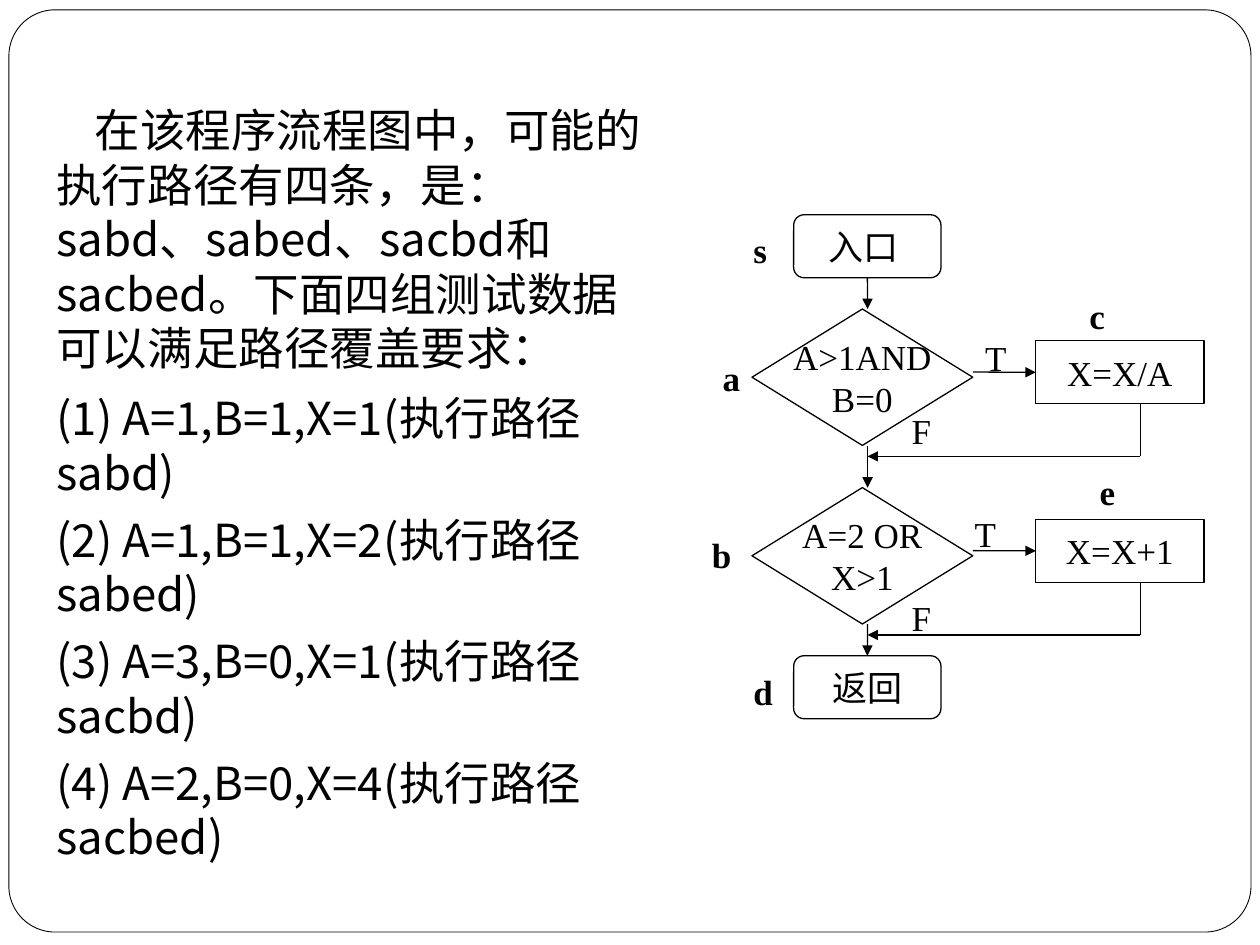
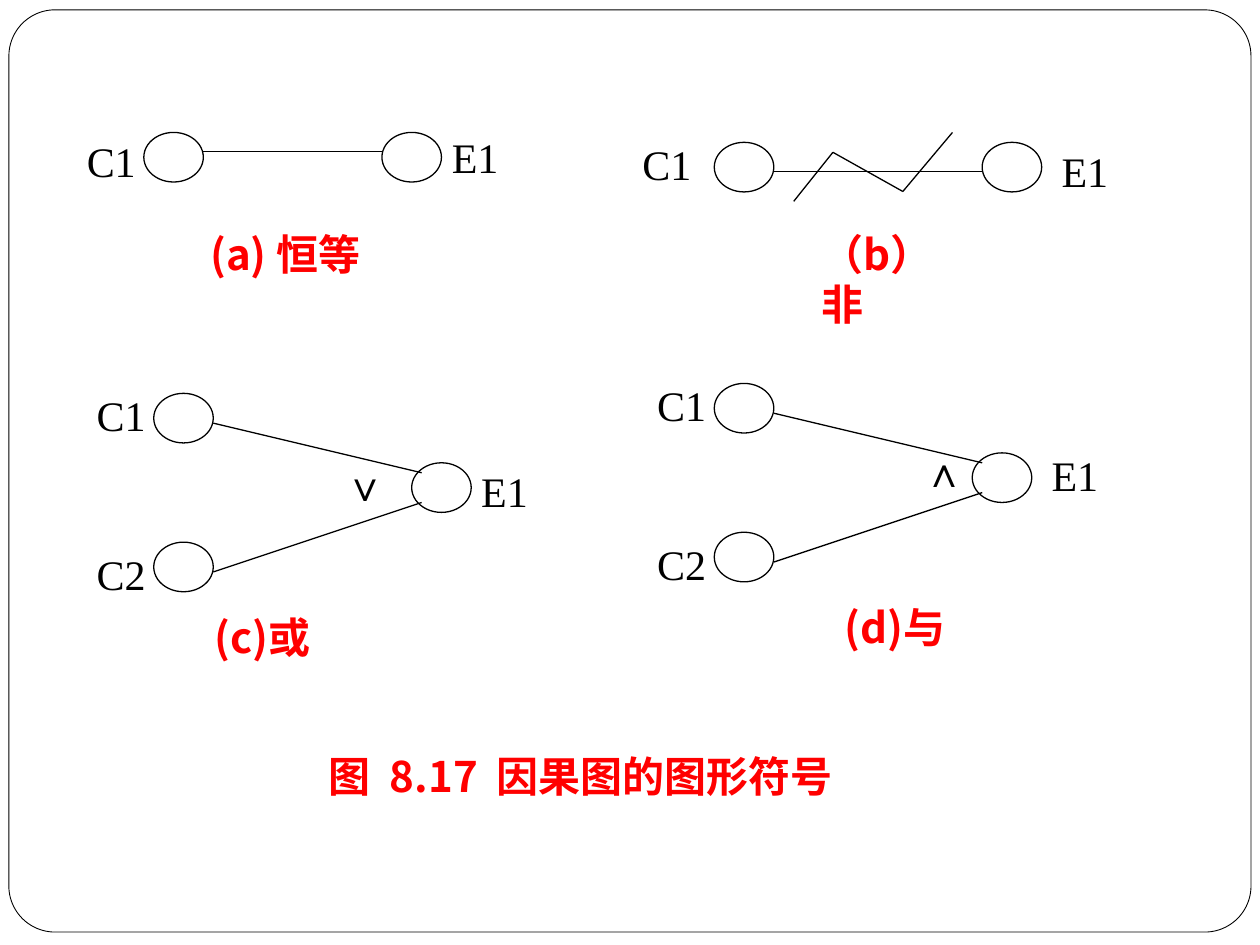
from lxml import etree
from pptx import Presentation, util as u
from pptx.dml.color import RGBColor
from pptx.enum import shapes, text
from pptx.oxml.ns import qn

BLACK, WHITE, RED = "000000", "FFFFFF", "FF0000"
SERIF, SANS = "Times New Roman", "Noto Sans CJK SC"
PRESET = shapes.MSO_SHAPE


def add_box(slide, preset, left, top, width, height, wording="", size=20, font=SERIF,
            color=BLACK, bold=False, wrap=False, line_width=0.75):
    area = [u.Cm(value) for value in (left, top, width, height)]
    if preset is None:
        shape = slide.shapes.add_textbox(*area)
    else:
        shape = slide.shapes.add_shape(preset, *area)
        shape.shadow.inherit = False
        shape.fill.solid()
        shape.fill.fore_color.rgb = RGBColor.from_string(WHITE)
        shape.line.color.rgb = RGBColor.from_string(BLACK)
        shape.line.width = u.Pt(line_width)
    if wording:
        frame = shape.text_frame
        frame.word_wrap = wrap
        frame.text = wording
        for paragraph in frame.paragraphs:
            paragraph.alignment = text.PP_ALIGN.CENTER if preset else text.PP_ALIGN.LEFT
            if font == SANS:
                paragraph.line_spacing = u.Pt(size * 1.2)
            paragraph.font.name = font
            paragraph.font.size = u.Pt(size)
            paragraph.font.bold = bold
            paragraph.font.color.rgb = RGBColor.from_string(color)
            defaults = paragraph._p.pPr.find(qn("a:defRPr"))
            etree.SubElement(defaults, qn("a:ea"), typeface=SANS)
    return shape


def add_line(slide, x1, y1, x2, y2, arrow=False):
    line = slide.shapes.add_connector(
        shapes.MSO_CONNECTOR.STRAIGHT, u.Cm(x1), u.Cm(y1), u.Cm(x2), u.Cm(y2))
    line.line.color.rgb = RGBColor.from_string(BLACK)
    line.line.width = u.Pt(0.75)
    if arrow:
        etree.SubElement(line.line._get_or_add_ln(), qn("a:tailEnd"), type="triangle")
    etree.SubElement(line._element.spPr, qn("a:effectLst"))
    return line


presentation = Presentation()
presentation.slide_width = u.Cm(25.4)
presentation.slide_height = u.Cm(19.05)
blank = presentation.slide_layouts[6]
slides = [presentation.slides.add_slide(blank) for _ in range(2)]
for slide in slides:
    border = add_box(slide, PRESET.ROUNDED_RECTANGLE, 0.18, 0.2, 25.04, 18.59, line_width=0.5)
    border.adjustments[0] = 0.05
flow_slide, symbol_slide = slides

intro = add_box(
    flow_slide, None, 0.89, 1.93, 12.4, 5.77,
    "在该程序流程图中，可能的执行路径有四条，是：sabd、sabed、sacbd和sacbed。"
    "下面四组测试数据可以满足路径覆盖要求：", 26, SANS, wrap=True)
intro.text_frame.paragraphs[0]._p.pPr.set("indent", str(u.Cm(0.77)))

test_cases = [
    "(1) A=1,B=1,X=1(执行路径sabd)",
    "(2) A=1,B=1,X=2(执行路径sabed)",
    "(3) A=3,B=0,X=1(执行路径sacbd)",
    "(4) A=2,B=0,X=4(执行路径sacbed)",
]
for index, case in enumerate(test_cases):
    add_box(flow_slide, None, 0.89, 7.74 + 2.45 * index, 12.4, 2.46, case, 26, SANS, wrap=True)

AXIS, ROUND_STEP = 17.49, 3.6
entry = add_box(flow_slide, PRESET.FLOWCHART_ALTERNATE_PROCESS, 16, 4.33, 2.97, 1.27, "入口 ")
finish = add_box(flow_slide, PRESET.FLOWCHART_ALTERNATE_PROCESS, 16, 13.22, 2.97, 1.27, "返回")
add_line(flow_slide, AXIS, 5.6, AXIS, 6.23, True).begin_connect(entry, 2)

rounds = [("A>1AND\nB=0", "X=X/A"), ("A=2 OR\nX>1", "X=X+1")]
for index, (condition, action) in enumerate(rounds):
    top = 6.23 + ROUND_STEP * index
    add_box(flow_slide, PRESET.FLOWCHART_DECISION, 15.16, top, 4.45, 2.75, condition)
    process = add_box(flow_slide, PRESET.FLOWCHART_PROCESS, 20.88, top + 0.64, 3.39, 1.27, action)
    add_line(flow_slide, 19.61, top + 1.27, 20.88, top + 1.27, True).end_connect(process, 1)
    add_line(flow_slide, 22.99, top + 1.91, 22.99, top + 2.97)
    add_line(flow_slide, 22.99, top + 2.97, AXIS, top + 2.97, True)

add_line(flow_slide, AXIS, 8.99, AXIS, 9.83, True)
add_line(flow_slide, AXIS, 12.58, AXIS, 13.22, True).end_connect(finish, 0)

branch_labels = [("T", 19.61, 6.65), ("F", 18.13, 8.14), ("F", 18.13, 11.91), ("T", 19.4, 10.21)]
for label, left, top in branch_labels:
    add_box(flow_slide, None, left, top, 0.95, 1.12, label, wrap=True)

node_labels = [("s", 14.94, 4.48), ("a", 14.32, 7.06), ("b", 14.1, 10.64),
               ("d", 14.94, 13.39), ("c", 21.71, 5.82), ("e", 21.92, 9.37)]
for label, left, top in node_labels:
    add_box(flow_slide, None, left, top, 0.85, 1.12, label, bold=True)

nodes = [(2.9, 2.67), (7.7, 2.67), (14.4, 2.87), (19.8, 2.87)]
lines = [(4.09, 3.06, 7.7, 3.06), (15.6, 3.46, 19.81, 3.46), (16, 4.06, 16.79, 3.07),
         (16.79, 3.07, 18.2, 3.86), (18.2, 3.86, 19.2, 2.67)]
names = [("C1", 1.5, 2.6), ("E1", 8.86, 2.52), ("C1", 12.7, 2.67), ("E1", 21.15, 2.8),
         ("E1", 9.45, 9.25), ("E1", 20.95, 8.93)]
for left, top in [(3.1, 7.93), (14.4, 7.73)]:
    nodes += [(left, top), (left, top + 3), (left + 5.2, top + 1.4)]
    lines += [(left + 1.2, top + 0.6, left + 5.4, top + 1.6),
              (left + 1.2, top + 3.6, left + 5.4, top + 2.2)]
    names += [("C1", left - 1.4, top - 0.2), ("C2", left - 1.4, top + 3)]

for left, top in nodes:
    add_box(symbol_slide, PRESET.OVAL, left, top, 1.2, 1)
for ends in lines:
    add_line(symbol_slide, *ends)
for name, left, top in names:
    add_box(symbol_slide, None, left, top, 1.7, 1.27, name, 24, wrap=True)
for operator, left, top in [("∨", 6.69, 9.13), ("∧", 18.36, 8.86)]:
    add_box(symbol_slide, None, left, top, 1.4, 1.27, operator, 24, wrap=True)

captions = [("(a) 恒等", 3.99, 4.48, 4.45), ("（b）非", 16.31, 4.48, 3.4),
            ("(c)或", 4.07, 12.21, 3.07), ("(d)与", 16.77, 12.01, 3.07),
            ("图  8.17  因果图的图形符号", 6.38, 15, 12.42)]
for caption, left, top, width in captions:
    add_box(symbol_slide, None, left, top, width, 1.27, caption, 24, SANS, RED, True, True)

presentation.save("out.pptx")
